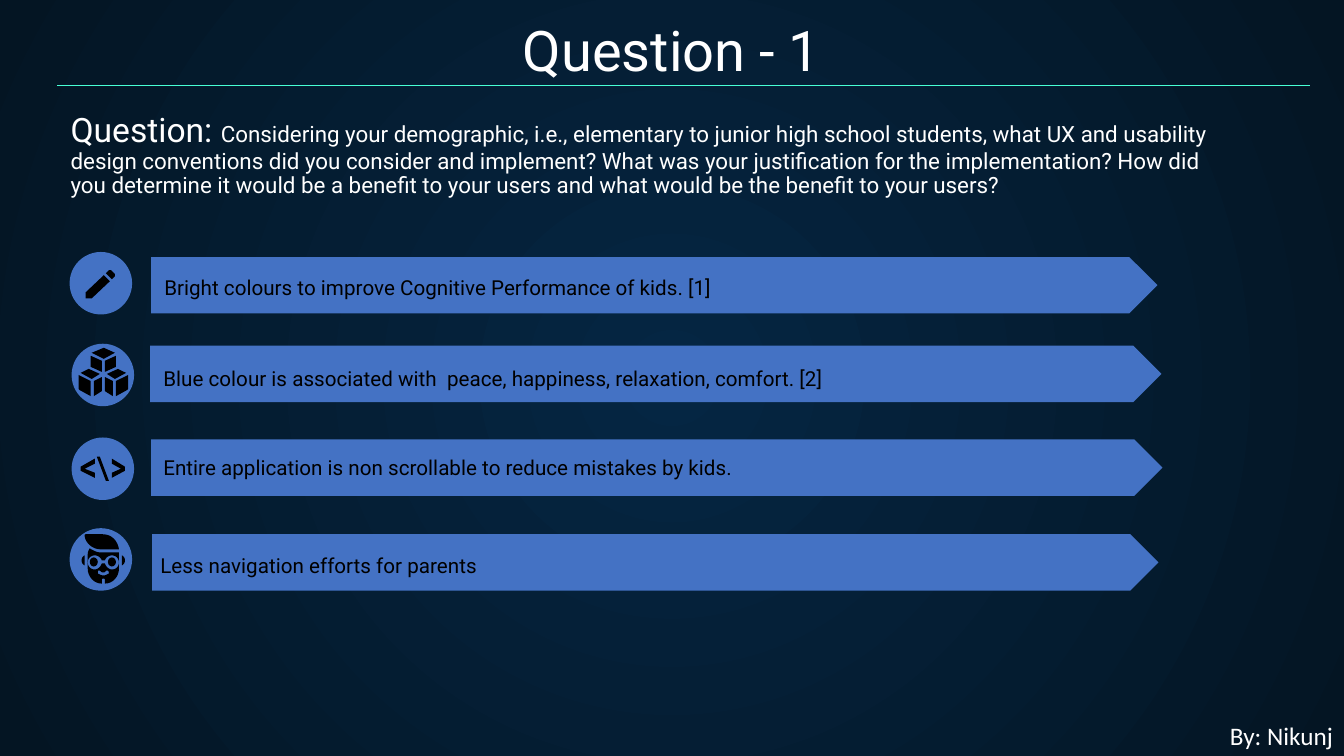
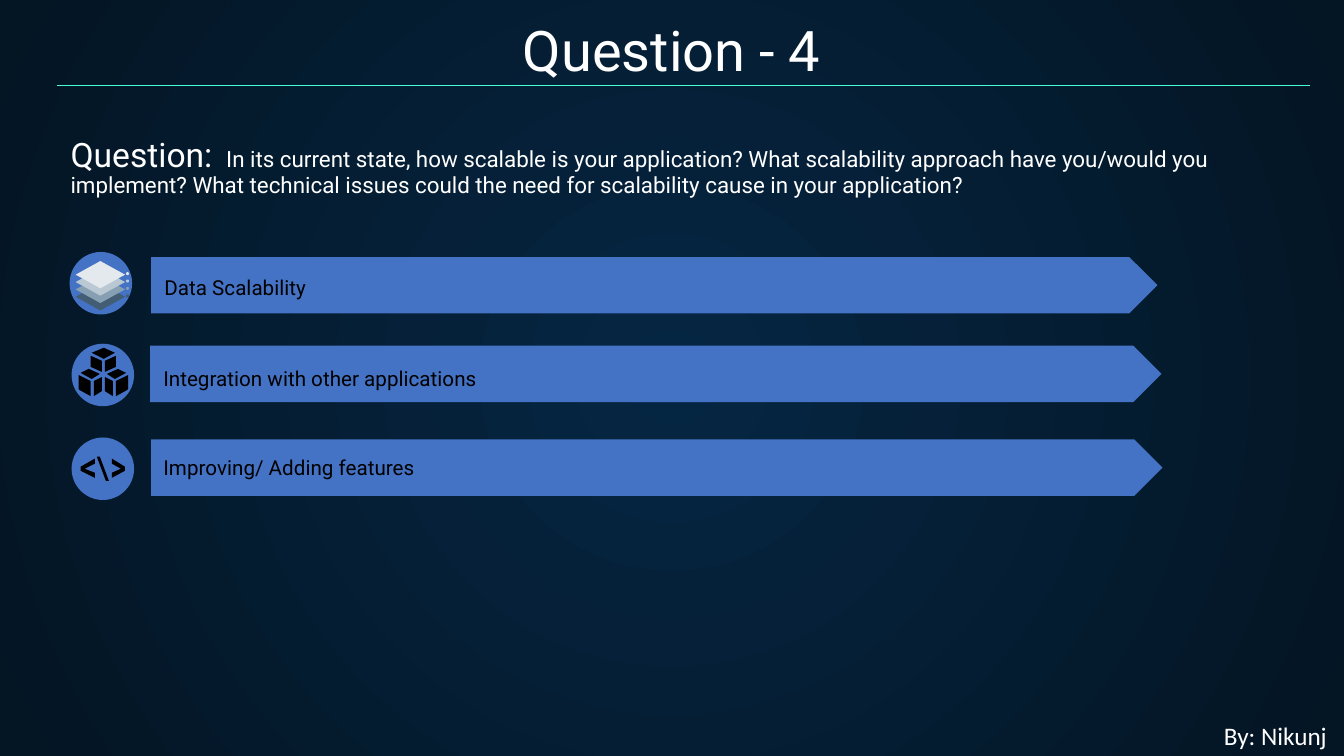
from lxml import etree
from pptx import Presentation
from pptx.dml.color import RGBColor
from pptx.enum.shapes import MSO_CONNECTOR, MSO_SHAPE
from pptx.enum.text import MSO_ANCHOR, MSO_AUTO_SIZE, PP_ALIGN
from pptx.oxml.ns import qn
from pptx.util import Inches, Pt

# Shared look
GLOW = RGBColor(0x05, 0x26, 0x43)
NIGHT = RGBColor(0x04, 0x15, 0x23)
WHITE = RGBColor(0xFF, 0xFF, 0xFF)
BLACK = RGBColor(0x00, 0x00, 0x00)
INK = RGBColor(0x1D, 0x1C, 0x1D)
BLUE = RGBColor(0x44, 0x72, 0xC4)
MINT = RGBColor(0x48, 0xFF, 0xD5)
LAYER_COLOURS = [
    RGBColor(0xE3, 0xE9, 0xED),
    RGBColor(0xBA, 0xC8, 0xD3),
    RGBColor(0x86, 0x9F, 0xB2),
    RGBColor(0x43, 0x5D, 0x74),
]
FONT = "Roboto"
INSET = 0.13
ARROW_HEIGHT = 0.56
BADGE_SIZE = 0.62
CURVE_STEPS = 8

# Rows: arrow (left, top, width), label box, label line spacing, badge (left, top)
ROWS = [
    ((1.5, 2.55, 9.98), (1.5, 2.55, 9.87, 0.56), 0.9, (0.69, 2.5)),
    ((1.49, 3.43, 10.03), (1.49, 3.45, 10, 0.56), 1.0, (0.71, 3.41)),
    ((1.5, 4.36, 10.03), (1.49, 4.36, 10.09, 0.53), 1.0, (0.71, 4.34)),
    ((1.51, 5.3, 9.98), (1.46, 5.3, 10.1, 0.56), 0.9, (0.69, 5.24)),
]

# Icon outlines: a pair is a corner, six numbers are a curve to the last pair
PENCIL = [[
    [(1.09, 2.68), (1.08, 2.68), (1.05, 2.71), (1.11, 2.77), (1.14, 2.74),
     (1.14, 2.74, 1.14, 2.73, 1.14, 2.72), (1.1, 2.68)],
    [(1.03, 2.73), (0.85, 2.9), (0.85, 2.96), (0.91, 2.96), (1.09, 2.79)],
]]
CUBES = [
    [[(1.15, 3.53), (1.04, 3.58), (1.04, 3.69), (1.15, 3.64)]],
    [[(1.01, 3.74), (0.93, 3.78), (0.93, 3.93), (1.01, 3.88)]],
    [[(0.9, 3.53), (0.9, 3.64), (1.01, 3.69), (1.01, 3.58)]],
    [[(0.88, 3.66), (0.8, 3.7), (0.91, 3.76), (0.99, 3.71)]],
    [[(1.04, 3.74), (1.04, 3.88), (1.12, 3.93), (1.12, 3.78)]],
    [[(1.17, 3.66), (1.06, 3.71), (1.14, 3.76), (1.25, 3.7)]],
    [[(0.78, 3.72), (0.78, 3.86), (0.79, 3.87), (0.9, 3.93), (0.9, 3.78)]],
    [[(1.27, 3.72), (1.15, 3.78), (1.15, 3.93), (1.26, 3.87), (1.27, 3.86)]],
    [[(1.03, 3.45), (0.91, 3.5), (1.03, 3.56), (1.14, 3.5)]],
]
CODE = [
    [[(0.94, 4.74), (0.8, 4.67), (0.8, 4.63), (0.94, 4.55), (0.94, 4.6),
      (0.84, 4.65), (0.94, 4.69)]],
    [[(1.05, 4.77), (0.96, 4.53), (0.99, 4.53), (1.08, 4.77)]],
    [[(1.11, 4.74), (1.11, 4.69), (1.2, 4.65), (1.11, 4.6), (1.11, 4.55),
      (1.24, 4.63), (1.24, 4.67)]],
]
EARS = [
    [[(0.84, 5.51), (0.82, 5.52, 0.81, 5.54, 0.81, 5.56),
      (0.81, 5.58, 0.82, 5.6, 0.84, 5.61)]],
    [[(1.21, 5.51), (1.21, 5.61), (1.23, 5.6, 1.24, 5.58, 1.24, 5.56),
      (1.24, 5.54, 1.23, 5.52, 1.21, 5.51)]],
]
HAIR = [[
    [(0.85, 5.3), (0.84, 5.3, 0.84, 5.31, 0.84, 5.32),
     (0.85, 5.39, 0.92, 5.45, 1, 5.45), (1.18, 5.45),
     (1.17, 5.37, 1.11, 5.3, 1.02, 5.3)],
]]
FOREHEAD = [[
    [(0.89, 5.44), (0.87, 5.47, 0.87, 5.49, 0.87, 5.52), (0.87, 5.58),
     (0.87, 5.54, 0.9, 5.51, 0.94, 5.51), (0.97, 5.51, 1, 5.53, 1.01, 5.56),
     (1.04, 5.56), (1.05, 5.53, 1.08, 5.51, 1.11, 5.51),
     (1.15, 5.51, 1.18, 5.54, 1.18, 5.58), (1.18, 5.48), (0.99, 5.48),
     (0.96, 5.48, 0.92, 5.46, 0.89, 5.44)],
]]
JAW = [[
    # Mouth
    [(1.06, 5.66), (1.07, 5.66), (1.08, 5.67, 1.08, 5.68, 1.08, 5.69),
     (1.06, 5.7, 1.04, 5.71, 1.03, 5.71), (1.01, 5.71, 0.99, 5.7, 0.97, 5.69),
     (0.97, 5.68, 0.97, 5.67, 0.97, 5.66), (0.99, 5.66),
     (1, 5.67, 1.01, 5.68, 1.02, 5.68), (1.04, 5.68, 1.05, 5.67, 1.05, 5.66)],
    # Cheeks and chin
    [(0.87, 5.58), (0.87, 5.64), (0.87, 5.72, 0.93, 5.79, 1.01, 5.79),
     (1.01, 5.75), (1.01, 5.74, 1.02, 5.74, 1.03, 5.74),
     (1.03, 5.74, 1.04, 5.74, 1.04, 5.75), (1.04, 5.79),
     (1.12, 5.79, 1.18, 5.72, 1.18, 5.64), (1.18, 5.58),
     (1.18, 5.62, 1.15, 5.65, 1.11, 5.65), (1.08, 5.65, 1.05, 5.62, 1.04, 5.59),
     (1.01, 5.59), (1, 5.62, 0.97, 5.65, 0.94, 5.65),
     (0.9, 5.65, 0.87, 5.62, 0.87, 5.58)],
]]
FACE = EARS + HAIR + FOREHEAD + JAW


def set_background(master):
    fill = master.background.fill
    fill.gradient()
    for stop, colour in zip(fill.gradient_stops, (GLOW, NIGHT)):
        stop.color.rgb = colour
    gradient = next(master.element.iter(qn("a:gradFill")))
    gradient.remove(gradient.find(qn("a:lin")))
    circle = etree.SubElement(gradient, qn("a:path"), path="circle")
    etree.SubElement(circle, qn("a:fillToRect"),
                     l="50000", t="50000", r="50000", b="50000")


def place(shape, left, top, width, height):
    shape.left, shape.top = Inches(left), Inches(top)
    shape.width, shape.height = Inches(width), Inches(height)


def add_span(para, text, size, colour=WHITE, font=FONT, bold=False):
    span = para.add_run()
    span.text = text
    span.font.size = Pt(size)
    span.font.name = font
    span.font.bold = bold
    span.font.color.rgb = colour


def write_bottom(shape, spans, align=PP_ALIGN.LEFT, spacing=0.9):
    frame = shape.text_frame
    frame.word_wrap = True
    frame.auto_size = MSO_AUTO_SIZE.NONE
    frame.vertical_anchor = MSO_ANCHOR.BOTTOM
    frame.margin_left = frame.margin_right = Inches(INSET)
    frame.margin_top = frame.margin_bottom = Inches(INSET)
    para = frame.paragraphs[0]
    para.alignment = align
    para.line_spacing = spacing
    para.space_before = Pt(0)
    for span in spans:
        add_span(para, *span)


def paint(shape, colour):
    shape.shadow.inherit = False
    shape.fill.solid()
    shape.fill.fore_color.rgb = colour
    shape.line.fill.background()


def add_preset(shapes, kind, left, top, width, height, colour):
    shape = shapes.add_shape(kind, Inches(left), Inches(top),
                             Inches(width), Inches(height))
    paint(shape, colour)


def trace(outline):
    """Turn corners and cubic curves into a list of points."""
    points = [outline[0]]
    for step in outline[1:]:
        if len(step) == 2:
            points.append(step)
            continue
        start = points[-1]
        for index in range(1, CURVE_STEPS + 1):
            t = index / CURVE_STEPS
            u = 1 - t
            points.append(tuple(
                u**3 * start[axis] + 3 * u * u * t * step[axis]
                + 3 * u * t * t * step[axis + 2] + t**3 * step[axis + 4]
                for axis in (0, 1)))
    return [(Inches(x), Inches(y)) for x, y in points]


def add_outline(shapes, outlines, colour):
    first, *others = [trace(outline) for outline in outlines]
    builder = shapes.build_freeform(*first[0])
    builder.add_line_segments(first[1:], close=True)
    for points in others:
        builder.move_to(*points[0])
        builder.add_line_segments(points[1:], close=True)
    paint(builder.convert_to_shape(), colour)


# Icons
def draw_icon(page, parts):
    group = page.shapes.add_group_shape()
    for outlines in parts:
        add_outline(group.shapes, outlines, BLACK)
    return group


def draw_pencil(page):
    draw_icon(page, PENCIL)


def draw_cubes(page):
    draw_icon(page, CUBES)


def draw_code(page):
    draw_icon(page, CODE)


def draw_face(page):
    group = draw_icon(page, FACE)
    for left in (0.89, 1.07):
        add_preset(group.shapes, MSO_SHAPE.OVAL, left, 5.53, 0.08, 0.09, BLACK)


def draw_layers(page):
    group = page.shapes.add_group_shape()
    for index, colour in reversed(list(enumerate(LAYER_COLOURS))):
        top = 2.59 + 0.22 * index / 3
        add_preset(group.shapes, MSO_SHAPE.DIAMOND, 0.75, top, 0.49, 0.27, colour)
        add_preset(group.shapes, MSO_SHAPE.OVAL, 1.25, top + 0.11, 0.03, 0.03, colour)


# Slide parts
def add_rule(page):
    rule = page.shapes.add_connector(MSO_CONNECTOR.STRAIGHT, Inches(0.57),
                                     Inches(0.85), Inches(12.99), Inches(0.85))
    rule.line.color.rgb = MINT
    rule.line.width = Pt(0.75)
    etree.SubElement(rule.element.spPr, qn("a:effectLst"))


def add_row(page, row, text, draw):
    arrow, label, spacing, badge = row
    add_preset(page.shapes, MSO_SHAPE.PENTAGON, *arrow, ARROW_HEIGHT, BLUE)
    box = page.shapes.add_textbox(*map(Inches, label))
    write_bottom(box, [(text, 14.7, BLACK)], spacing=spacing)
    add_preset(page.shapes, MSO_SHAPE.OVAL, *badge, BADGE_SIZE, BADGE_SIZE, BLUE)
    draw(page)


def add_author(page, left):
    box = page.shapes.add_textbox(Inches(left), Inches(7.1), Inches(1.23), Inches(0.4))
    box.text_frame.word_wrap = False
    box.text_frame.auto_size = MSO_AUTO_SIZE.SHAPE_TO_FIT_TEXT
    add_span(box.text_frame.paragraphs[0], "By: Nikunj", 18, font="Calibri")


def add_question_page(deck, title, question, answers, author_left):
    page = deck.slides.add_slide(deck.slide_layouts[0])
    heading, body = page.placeholders
    place(heading, 0.45, 0.08, 12.42, 0.88)
    write_bottom(heading, [(title, 40)], PP_ALIGN.CENTER)
    add_rule(page)
    place(body, 0.57, 0.97, 11.61, 1.13)
    write_bottom(body, [("Question: ", 24), *question])
    for row, (text, draw) in zip(ROWS, answers):
        add_row(page, row, text, draw)
    add_author(page, author_left)


def main():
    deck = Presentation()
    deck.slide_width, deck.slide_height = Inches(13.33), Inches(7.5)
    set_background(deck.slide_master)

    add_question_page(
        deck, "Question - 1",
        [("Considering your demographic, i.e., elementary to junior high school "
          "students, what UX and usability design conventions did you consider and "
          "implement? What was your justification for the implementation? How did "
          "you determine it would be a benefit to your users and what would be the "
          "benefit to your users?", 16)],
        [("Bright colours to improve Cognitive Performance of kids. [1]", draw_pencil),
         ("Blue colour is associated with  peace, happiness, relaxation, comfort. [2]",
          draw_cubes),
         ("Entire application is non scrollable to reduce mistakes by kids.", draw_code),
         ("Less navigation efforts for parents", draw_face)],
        12.1)

    add_question_page(
        deck, "Question - 4",
        [(" ", 16, INK, "Lato", True),
         ("In its current state, how scalable is your application? What scalability "
          "approach have you/would you implement? What technical issues could the "
          "need for scalability cause in your application?", 16)],
        [("Data Scalability", draw_layers),
         ("Integration with other applications", draw_cubes),
         ("Improving/ Adding features", draw_code)],
        12.04)

    deck.save("out.pptx")


if __name__ == "__main__":
    main()
